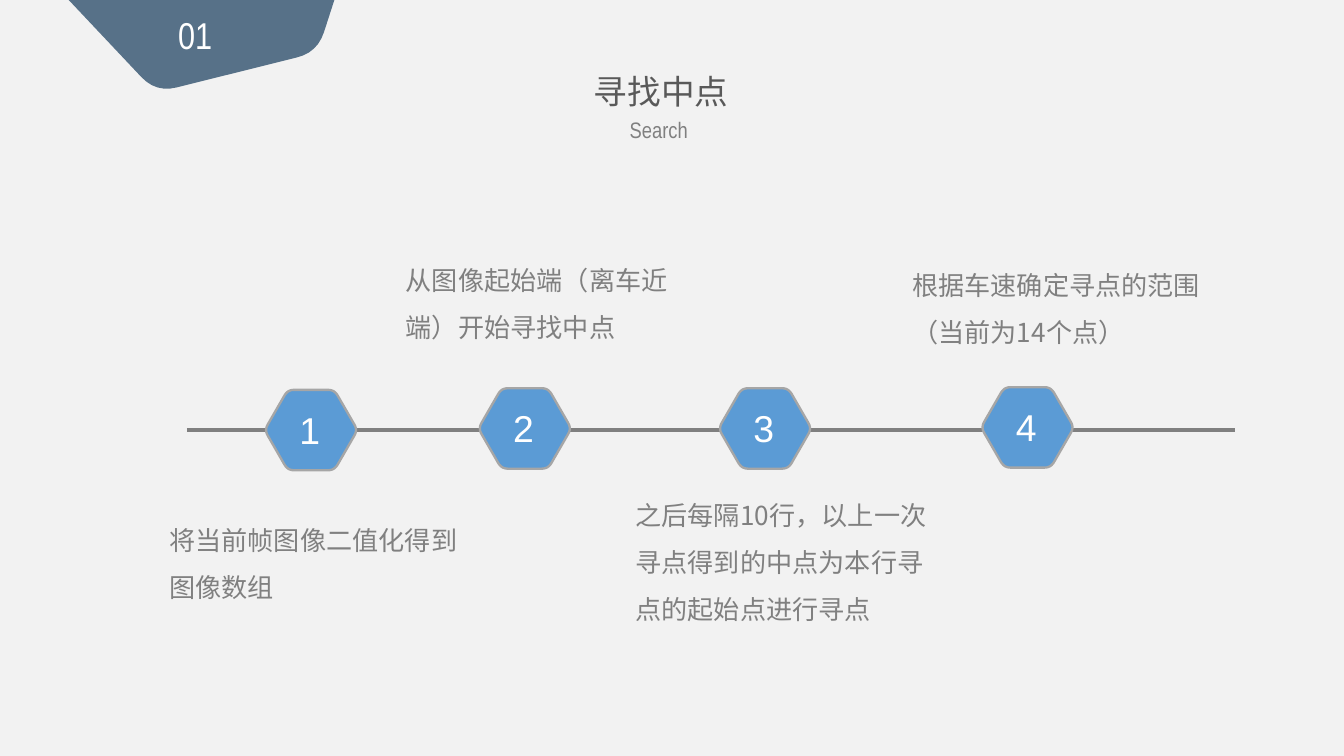
import math

from lxml import etree
from pptx import Presentation
from pptx import util as u
from pptx.dml.color import RGBColor
from pptx.enum import shapes, text
from pptx.oxml.ns import qn

BACKGROUND = RGBColor(0xF2, 0xF2, 0xF2)
SLATE = RGBColor(0x57, 0x71, 0x88)
BLUE = RGBColor(0x5B, 0x9B, 0xD5)
SILVER = RGBColor(0xA6, 0xA6, 0xA6)
GREY = RGBColor(0x80, 0x80, 0x80)
DARK = RGBColor(0x59, 0x59, 0x59)
WHITE = RGBColor(0xFF, 0xFF, 0xFF)
CJK, NARROW, SANS = "Noto Sans CJK SC", "Arial Narrow", "Arial"

# Number, hexagon left and top, text left and top (cm)
STEPS = [
    ("1", 5.03, 7.37, 2.95, 9.5, "将当前帧图像二值化得到图像数组"),
    ("2", 9.07, 7.34, 7.42, 4.57, "从图像起始端（离车近端）开始寻找中点"),
    ("3", 13.61, 7.34, 11.76, 9.02,
     "之后每隔10行，以上一次寻点得到的中点为本行寻点的起始点进行寻点"),
    ("4", 18.57, 7.32, 16.99, 4.67, "根据车速确定寻点的范围（当前为14个点）"),
]
HEXAGON = [(-0.03, 0.76), (0.41, 0), (1.29, 0), (1.73, 0.76), (1.29, 1.52), (0.41, 1.52)]
HEXAGON_CUT = 0.12
BADGE = [(0, 0), (5.02, 0), (4.7, 0.99), (1.65, 1.75)]
BADGE_CUTS = [0, 0, 0.4, 0.4]


def place(sp, x, y, w, h):
    sp.left, sp.top, sp.width, sp.height = map(u.Cm, (x, y, w, h))


def write(sp, words, size, font, color, align=text.PP_ALIGN.LEFT, spacing=1.0):
    tf = sp.text_frame
    tf.word_wrap = True
    tf.auto_size = text.MSO_AUTO_SIZE.NONE
    tf.vertical_anchor = text.MSO_ANCHOR.TOP
    p = tf.paragraphs[0]
    p.alignment, p.line_spacing = align, spacing
    r = p.add_run()
    r.text = words
    r.font.size, r.font.name = u.Pt(size), font
    r.font.color.rgb = color
    ea = etree.SubElement(r.font._element, qn("a:ea"))
    ea.set("typeface", font)


def add_text(s, box, *style, **options):
    sp = s.shapes.add_textbox(*map(u.Cm, box))
    write(sp, *style, **options)


def round_corners(corners, cuts, steps=6):
    """Replace each corner by a quadratic curve that starts a cut away from it."""
    points = []
    for i, (corner, cut) in enumerate(zip(corners, cuts)):
        if not cut:
            points.append(corner)
            continue
        before, after = corners[i - 1], corners[(i + 1) % len(corners)]
        a, b = ([c + (e - c) * cut / math.dist(corner, end) for c, e in zip(corner, end)]
                for end in (before, after))
        for k in range(steps + 1):
            t = k / steps
            points.append(tuple((1 - t) ** 2 * a[j] + 2 * t * (1 - t) * corner[j]
                                + t ** 2 * b[j] for j in (0, 1)))
    return points


def add_outline(s, x, y, corners, cuts, fill):
    points = [(u.Cm(x + px), u.Cm(y + py)) for px, py in round_corners(corners, cuts)]
    builder = s.shapes.build_freeform(*points[0])
    builder.add_line_segments(points[1:], close=True)
    sp = builder.convert_to_shape()
    sp.shadow.inherit = False
    sp.fill.solid()
    sp.fill.fore_color.rgb = fill
    sp.line.fill.background()
    return sp


def add_badge(s, x, y, number):
    add_outline(s, x, y, BADGE, BADGE_CUTS, SLATE)
    add_text(s, (x + 1.27, y + 0.1, 2.24, 1.12), number, 20, NARROW, WHITE,
             align=text.PP_ALIGN.CENTER)


def add_heading(s, x, y, title, subtitle):
    place(s.shapes.title, x, y, 5.69, 1.02)
    write(s.shapes.title, title, 18, CJK, DARK, align=text.PP_ALIGN.CENTER)
    add_text(s, (x + 0.97, y + 0.86, 3.66, 0.76), subtitle, 12, NARROW, GREY,
             align=text.PP_ALIGN.CENTER)


def add_axis(s, x, y, length):
    line = s.shapes.add_connector(shapes.MSO_CONNECTOR.STRAIGHT,
                                  *map(u.Cm, (x, y, x + length, y)))
    line.line.color.rgb = GREY
    line.line.width = u.Pt(2.25)
    etree.SubElement(line._element.spPr, qn("a:effectLst"))


def add_marker(s, x, y, number):
    sp = add_outline(s, x, y, HEXAGON, [HEXAGON_CUT] * len(HEXAGON), BLUE)
    sp.line.color.rgb = SILVER
    sp.line.width = u.Pt(1.25)
    add_text(s, (x + 0.38, y + 0.2, 1.09, 1.12), number, 20, SANS, WHITE)


prs = Presentation()
prs.slide_width, prs.slide_height = u.Cm(25.4), u.Cm(14.29)
s = prs.slides.add_slide(prs.slide_layouts[5])
s.background.fill.solid()
s.background.fill.fore_color.rgb = BACKGROUND

# Section badge and heading
add_badge(s, 1.3, 0, "01")
add_heading(s, 9.65, 1.22, "寻找中点", "Search")

# Timeline
add_axis(s, 3.53, 8.13, 19.81)
for number, x, y, text_x, text_y, words in STEPS:
    add_marker(s, x, y, number)
    add_text(s, (text_x, text_y, 6.02, 2.06), words, 14, CJK, GREY, spacing=1.5)

prs.save("out.pptx")
